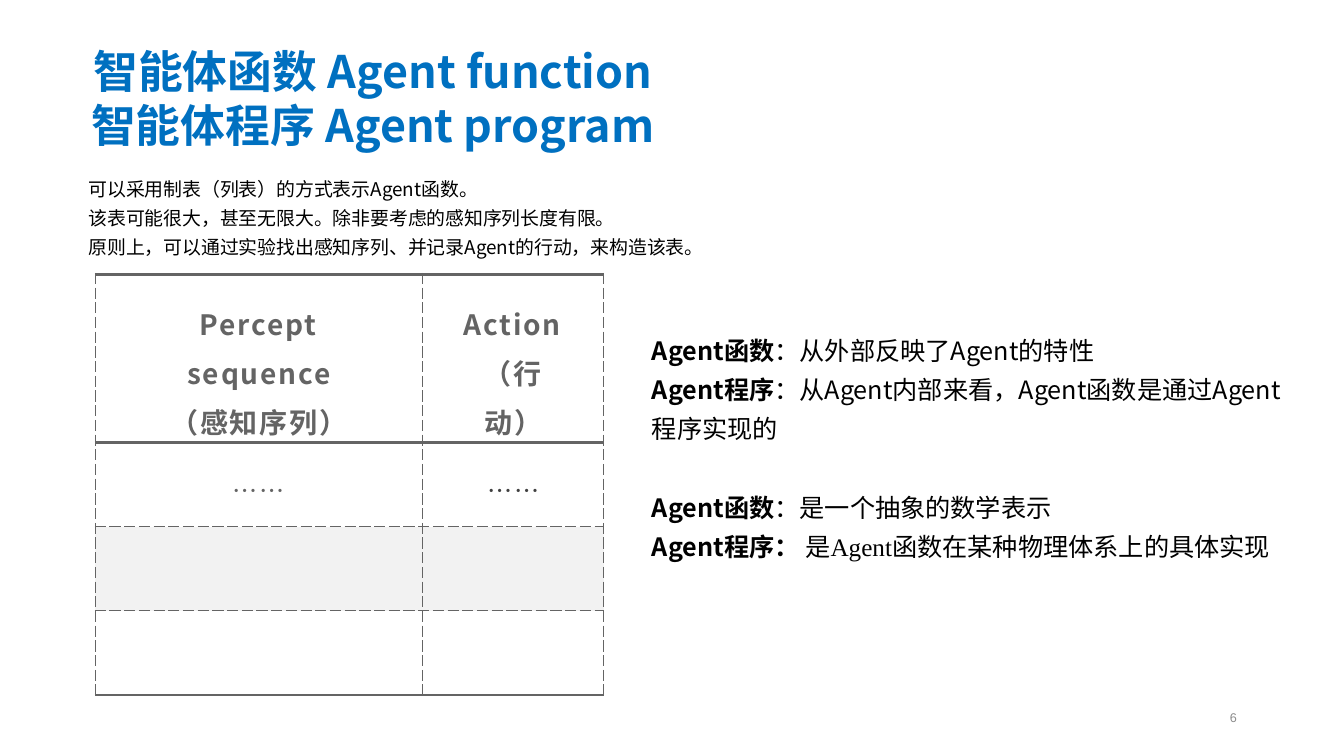
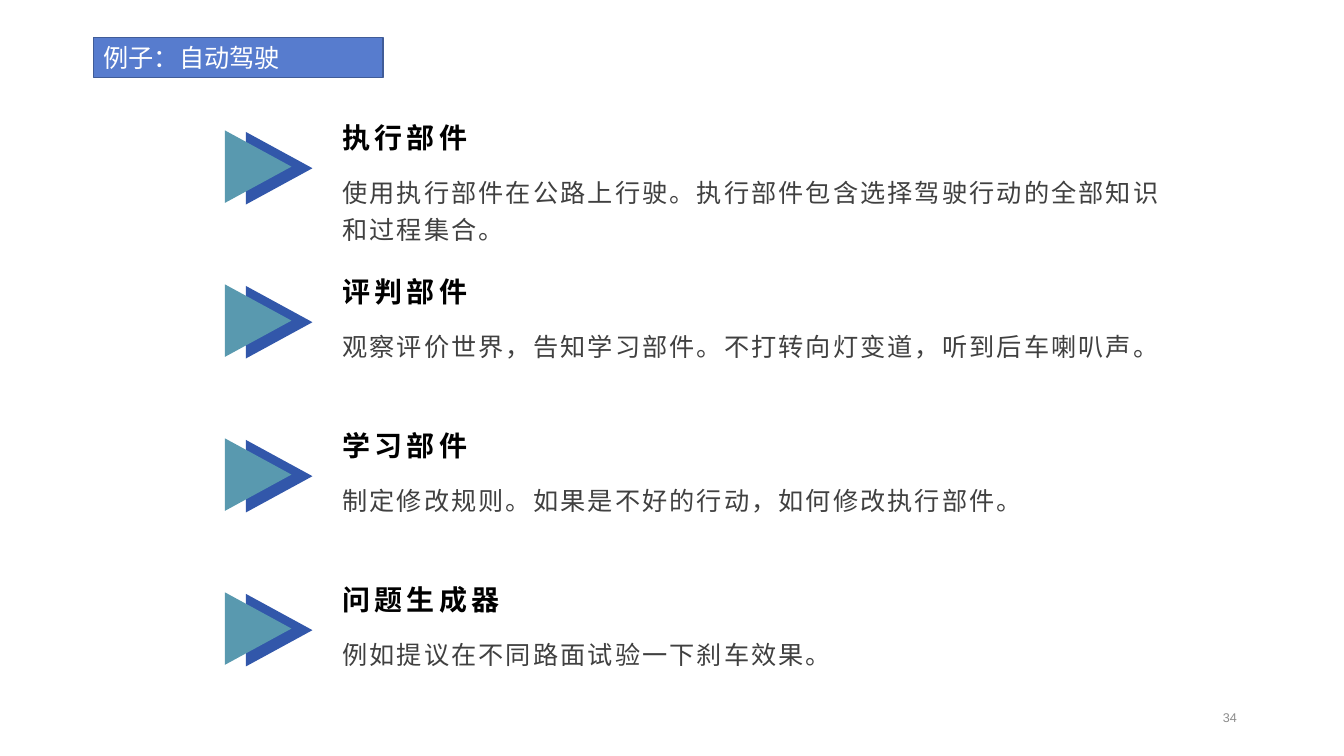
from lxml import etree
from pptx import Presentation
from pptx.dml.color import RGBColor
from pptx.enum.shapes import MSO_SHAPE as Shape
from pptx.enum.text import MSO_ANCHOR as Anchor, PP_ALIGN as Align
from pptx.oxml.ns import qn
from pptx.util import Cm, Pt

# Content
TITLE = ["智能体函数 Agent function", "智能体程序 Agent program"]
INTRO = [
    "可以采用制表（列表）的方式表示Agent函数。",
    "该表可能很大，甚至无限大。除非要考虑的感知序列长度有限。",
    "原则上，可以通过实验找出感知序列、并记录Agent的行动，来构造该表。",
]
# Each remark: space before in points, then (text, bold, own font)
REMARKS = [
    (0, [("Agent函数", True, None), ("：从外部反映了Agent的特性", False, None)]),
    (0, [("Agent程序", True, None),
         ("：从Agent内部来看，Agent函数是通过Agent程序实现的", False, None)]),
    (28, [("Agent函数", True, None), ("：是一个抽象的数学表示", False, None)]),
    (0, [("Agent程序： ", True, None), ("是Agent函数", False, "Times New Roman"),
         ("在某种物理体系上的具体实现", False, None)]),
]
TABLE = [
    [["Percept sequence", "（感知序列）"], ["Action（行动）"]],
    [["……"], ["……"]],
    [[], []],
    [[], []],
]
EXAMPLE = "例子：自动驾驶"
PARTS = [
    ("执行部件", "使用执行部件在公路上行驶。执行部件包含选择驾驶行动的全部知识和过程集合。"),
    ("评判部件", "观察评价世界，告知学习部件。不打转向灯变道，听到后车喇叭声。"),
    ("学习部件", "制定修改规则。如果是不好的行动，如何修改执行部件。"),
    ("问题生成器", "例如提议在不同路面试验一下刹车效果。"),
]

# Shared style
COLORS = {
    "title": "0070C0", "text": "000000", "soft": "404040", "grid": "646464",
    "white": "FFFFFF", "stripe": "F2F2F2", "number": "8C8C8C",
    "label": "577CCE", "label_line": "405C98",
    "arrow_back": "3257AA", "arrow_front": "5999AF",
}
HAN, LATIN = "Noto Sans CJK SC", "Arial"


def color(name):
    return RGBColor.from_string(COLORS[name])


def style(para, size, tone, face=HAN, bold=False, spread=0, leading=None, align=Align.LEFT):
    """Set the look of a whole paragraph; leading is the line pitch in points."""
    para.alignment = align
    if leading:
        para.line_spacing = Pt(leading)
    font = para.font
    font.name, font.size, font.bold = face, Pt(size), bold
    font.color.rgb = color(tone)
    props = para._p.pPr.find(qn("a:defRPr"))
    if spread:
        props.set("spc", str(round(spread * 100)))
    east = etree.Element(qn("a:ea"), typeface=HAN)
    props.find(qn("a:latin")).addnext(east)


def write(frame, lines, **look):
    for index, line in enumerate(lines):
        para = frame.add_paragraph() if index else frame.paragraphs[0]
        para.add_run().text = line
        style(para, **look)


def add_text(page, place, lines, anchor=Anchor.TOP, wrap=True, **look):
    frame = page.shapes.add_textbox(*map(Cm, place)).text_frame
    frame.word_wrap, frame.vertical_anchor = wrap, anchor
    write(frame, lines, **look)
    return frame


def add_shape(page, kind, place, fill):
    shape = page.shapes.add_shape(kind, *map(Cm, place))
    shape.shadow.inherit = False
    shape.fill.solid()
    shape.fill.fore_color.rgb = color(fill)
    shape.line.fill.background()
    return shape


def add_page(deck, number):
    page = deck.slides.add_slide(deck.slide_layouts[6])
    add_text(page, (23.93, 17.75, 7.49, 0.66), [number], Anchor.MIDDLE,
             size=9, tone="number", face=LATIN, align=Align.RIGHT)
    return page


def add_borders(cell, row, last):
    """Thick rules frame the header and the table; all others are dashed."""
    thick_rules = (0, 1, last + 1)
    sides = [("L", False), ("R", False),
             ("T", row in thick_rules), ("B", row + 1 in thick_rules)]
    props = cell._tc.get_or_add_tcPr()
    for side, thick in sides:
        line = etree.SubElement(props, qn("a:ln" + side), w=str(Pt(2.25 if thick else 0.75)))
        fill = etree.SubElement(line, qn("a:solidFill"))
        etree.SubElement(fill, qn("a:srgbClr"), val=COLORS["grid"])
        etree.SubElement(line, qn("a:prstDash"), val="solid" if thick else "sysDash")


def add_percept_table(page):
    widths, heights = (8.25, 4.57), (4.24, 2.12, 2.12, 2.12)
    table = page.shapes.add_table(len(heights), len(widths), Cm(2.4), Cm(6.91),
                                  Cm(sum(widths)), Cm(sum(heights))).table
    table.first_row = table.horz_banding = False
    for column, width in zip(table.columns, widths):
        column.width = Cm(width)
    for row, (cells, height) in enumerate(zip(TABLE, heights)):
        table.rows[row].height = Cm(height)
        header = row == 0
        for column, lines in enumerate(cells):
            cell = table.cell(row, column)
            add_borders(cell, row, len(heights) - 1)
            cell.fill.solid()
            cell.fill.fore_color.rgb = color("stripe" if row == 2 else "white")
            if not lines:
                continue
            cell.vertical_anchor = Anchor.MIDDLE
            cell.margin_left = cell.margin_right = Cm(0.89)
            cell.margin_top, cell.margin_bottom = Cm(0.5), Cm(0 if header else 0.4)
            write(cell.text_frame, lines, size=20 if header else 18,
                  tone="soft" if row and column else "grid", bold=header,
                  spread=1.3, leading=35 if header else 30, align=Align.CENTER)


def build_function_page(deck):
    page = add_page(deck, "6")
    add_text(page, (1.78, 0.98, 15.24, 3), TITLE, wrap=False, size=32, tone="title",
             bold=True, leading=38.5, align=Align.CENTER)
    add_text(page, (1.98, 4.17, 25.25, 2.51), INTRO, size=13.5, tone="text", leading=21)
    add_percept_table(page)

    # Remarks beside the table
    frame = page.shapes.add_textbox(Cm(16.18), Cm(8.1), Cm(16.74), Cm(7.24)).text_frame
    frame.word_wrap = True
    for index, (gap, spans) in enumerate(REMARKS):
        para = frame.add_paragraph() if index else frame.paragraphs[0]
        style(para, size=18, tone="text", leading=28)
        if gap:
            para.space_before = Pt(gap)
        for text, bold, face in spans:
            span = para.add_run()
            span.text = text
            span.font.bold = bold
            if face:
                span.font.name = face


def build_example_page(deck):
    page = add_page(deck, "34")
    label = add_shape(page, Shape.RECTANGLE, (2.36, 0.94, 7.29, 1.02), "label")
    label.line.color.rgb = color("label_line")
    label.line.width = Pt(1)
    label.text_frame.vertical_anchor = Anchor.MIDDLE
    write(label.text_frame, [EXAMPLE], size=18, tone="white", face=LATIN, leading=21.6)

    # One double arrow, heading and sentence for each part
    pitch = 3.88
    for index, (heading, sentence) in enumerate(PARTS):
        top = 2.72 + index * pitch
        for left, drop, fill in [(6.12, 0.68, "arrow_back"), (5.59, 0.64, "arrow_front")]:
            arrow = add_shape(page, Shape.ISOSCELES_TRIANGLE,
                              (left, top + drop, 1.83, 1.68), fill)
            arrow.rotation = 90
        add_text(page, (8.38, top, 13.21, 1.4), [heading], Anchor.MIDDLE, size=20,
                 tone="text", face=LATIN, bold=True, spread=3, leading=26.4)
        add_text(page, (8.38, top + 1.45, 21.23, 1.93), [sentence], size=18,
                 tone="soft", face=LATIN, spread=1.5, leading=26.4)


def main():
    deck = Presentation()
    deck.slide_width, deck.slide_height = Cm(33.87), Cm(19.05)
    build_function_page(deck)
    build_example_page(deck)
    deck.save("out.pptx")


if __name__ == "__main__":
    main()
